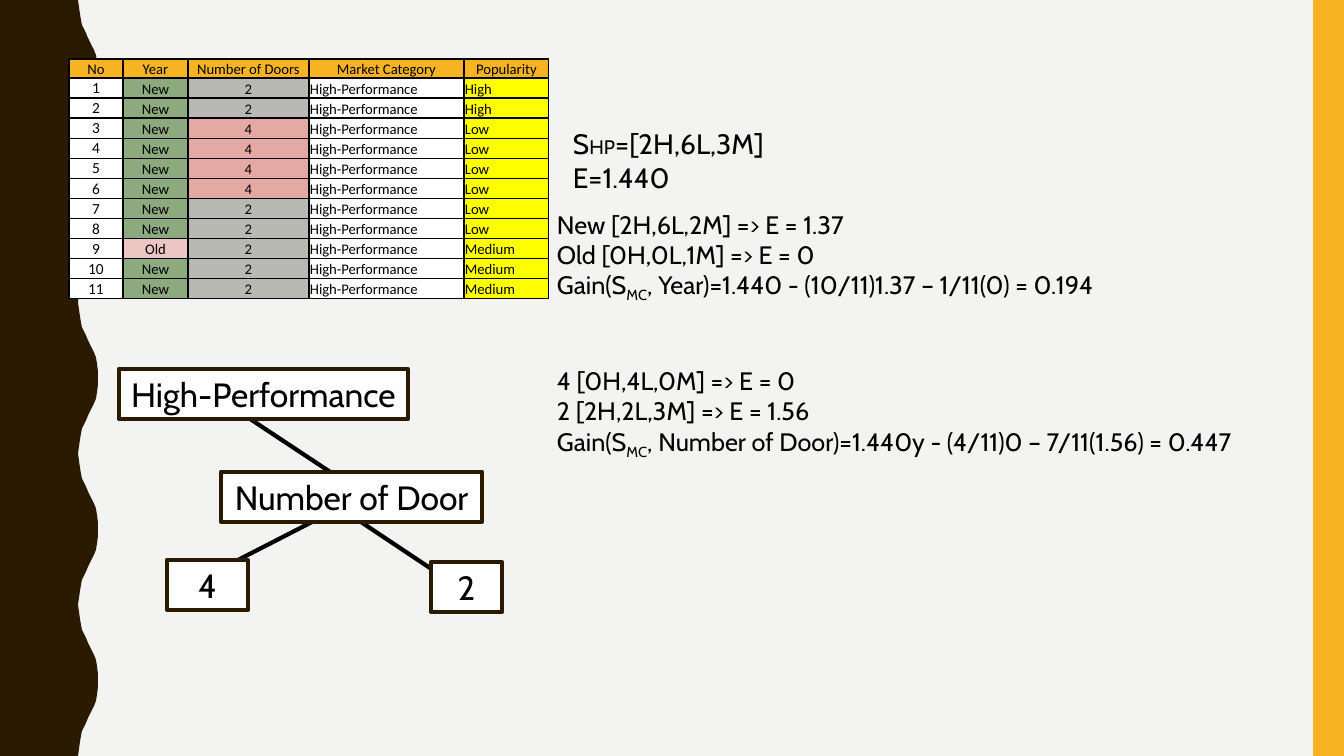
"""Build the decision-tree slide for the High-Performance market category."""
import lxml.etree
import pptx
import pptx.dml.color
import pptx.enum.shapes
import pptx.enum.text
import pptx.oxml.ns
import pptx.util

RGB = pptx.dml.color.RGBColor
ALIGN = pptx.enum.text.PP_ALIGN
ANCHOR = pptx.enum.text.MSO_ANCHOR
RECTANGLE = pptx.enum.shapes.MSO_SHAPE.RECTANGLE
Pt = pptx.util.Pt
qn = pptx.oxml.ns.qn

PAPER = RGB(0xF3, 0xF3, 0xF2)
BROWN = RGB(0x2A, 0x1A, 0x00)
ORANGE = RGB(0xF8, 0xB3, 0x23)
BLACK = RGB(0x00, 0x00, 0x00)
WHITE = RGB(0xFF, 0xFF, 0xFF)
GREEN = RGB(0x8C, 0xAA, 0x7E)
PINK = RGB(0xED, 0xC5, 0xC3)
GREY = RGB(0xB9, 0xB9, 0xB3)
RED = RGB(0xE5, 0xA9, 0xA4)
YELLOW = RGB(0xFF, 0xFF, 0x00)

HEADINGS = ["No", "Year", "Number of Doors", "Market Category", "Popularity"]
COLUMN_WIDTHS = [54, 65, 121, 155, 85]
HEADING_HEIGHT, CAR_HEIGHT = 19, 18
CATEGORY = "High-Performance"
CARS = [
    ("New", "2", "High"), ("New", "2", "High"), ("New", "4", "Low"),
    ("New", "4", "Low"), ("New", "4", "Low"), ("New", "4", "Low"),
    ("New", "2", "Low"), ("New", "2", "Low"), ("Old", "2", "Medium"),
    ("New", "2", "Medium"), ("New", "2", "Medium"),
]
YEAR_FILLS = {"New": GREEN, "Old": PINK}
DOOR_FILLS = {"2": GREY, "4": RED}

ENTROPY = [
    [("S", 20, 0), ("HP", 14, 0), ("=[2H,6L,3M]", 20, 0)],
    [("E=1.440", 20, 0)],
]
GAINS = [
    [("New [2H,6L,2M] => E = 1.37", 18, 0)],
    [("Old [0H,0L,1M] => E = 0", 18, 0)],
    [("Gain(S", 18, 0), ("MC", 18, -25000),
     (", Year)=1.440 - (10/11)1.37 – 1/11(0) = 0.194", 18, 0)],
    [("4 [0H,4L,0M] => E = 0", 18, 0)],
    [("2 [2H,2L,3M] => E = 1.56", 18, 0)],
    [("Gain(S", 18, 0), ("MC", 18, -25000),
     (", Number of Door)=1.440y - (4/11)0 – 7/11(1.56) = 0.447", 18, 0)],
]
DOOR_GAIN_START = 3

BRANCHES = [(334, 504, 469, 594), (347, 504, 203, 578), (232, 407, 368, 497)]
NODES = [
    (CATEGORY, 119, 369, 289, 50),
    ("Number of Door", 221, 472, 261, 50),
    ("2", 431, 562, 71, 50),
    ("4", 167, 560, 81, 50),
]

PAGE_W, PAGE_H = 1344, 756
WAVES = 5
HALF_WAVE = [
    (78, 0), (79, 7), (80, 14), (81, 20), (82, 25), (84, 29), (86, 33), (88, 38),
    (90, 42), (92, 46), (94, 50), (96, 55), (97, 61), (98, 69), (98, 76),
]


def px(length):
    return pptx.util.Emu(round(length * 914400 / 100.8))


def style(run, size, font="Cabin"):
    run.font.name = font
    run.font.size = Pt(size)
    run.font.bold = False
    run.font.color.rgb = BLACK


def paint(shape, fill, line=None):
    shape.shadow.inherit = False
    shape.fill.solid()
    shape.fill.fore_color.rgb = fill
    if line is None:
        shape.line.fill.background()
    else:
        shape.line.color.rgb = line
        shape.line.width = Pt(3)


def add_wave(shapes):
    period = PAGE_H / WAVES
    wave = HALF_WAVE + [(x, period - y) for x, y in reversed(HALF_WAVE[1:-1])]
    edge = [(px(x), px(n * period + y)) for n in range(WAVES) for x, y in wave]
    edge += [(px(HALF_WAVE[0][0]), px(PAGE_H)), (0, px(PAGE_H))]
    builder = shapes.build_freeform(0, 0, scale=1.0)
    builder.add_line_segments(edge, close=True)
    paint(builder.convert_to_shape(), BROWN)


def add_branch(shapes, x1, y1, x2, y2):
    branch = shapes.add_connector(
        pptx.enum.shapes.MSO_CONNECTOR.STRAIGHT, px(x1), px(y1), px(x2), px(y2))
    branch.line.color.rgb = BLACK
    branch.line.width = Pt(3)
    lxml.etree.SubElement(branch._element.spPr, qn("a:effectLst"))


def fill_cell(cell, text, fill, size=10.5, align=ALIGN.CENTER, anchor=ANCHOR.BOTTOM):
    cell.text_frame.text = text
    paragraph = cell.text_frame.paragraphs[0]
    paragraph.alignment = align
    style(paragraph.runs[0], size, "Calibri")
    cell.vertical_anchor = anchor
    cell.margin_left = cell.margin_right = cell.margin_top = px(1)
    cell.margin_bottom = 0
    properties = cell._tc.get_or_add_tcPr()
    for side in ("a:lnL", "a:lnR", "a:lnT", "a:lnB"):
        border = lxml.etree.SubElement(properties, qn(side), w=str(Pt(1)))
        solid = lxml.etree.SubElement(border, qn("a:solidFill"))
        lxml.etree.SubElement(solid, qn("a:srgbClr"), val=str(BLACK))
    cell.fill.solid()
    cell.fill.fore_color.rgb = fill


def add_cars(shapes):
    height = HEADING_HEIGHT + CAR_HEIGHT * len(CARS)
    cars = shapes.add_table(len(CARS) + 1, len(HEADINGS), px(69), px(59),
                            px(sum(COLUMN_WIDTHS)), px(height)).table
    cars.first_row = cars.horz_banding = False
    for column, width in zip(cars.columns, COLUMN_WIDTHS):
        column.width = px(width)
    for row in cars.rows:
        row.height = px(CAR_HEIGHT)
    cars.rows[0].height = px(HEADING_HEIGHT)
    for column, heading in enumerate(HEADINGS):
        fill_cell(cars.cell(0, column), heading, ORANGE)
    for number, (year, doors, popularity) in enumerate(CARS, 1):
        fill_cell(cars.cell(number, 0), str(number), WHITE, 11, anchor=ANCHOR.MIDDLE)
        fill_cell(cars.cell(number, 1), year, YEAR_FILLS[year])
        fill_cell(cars.cell(number, 2), doors, DOOR_FILLS[doors])
        fill_cell(cars.cell(number, 3), CATEGORY, WHITE, align=ALIGN.LEFT)
        fill_cell(cars.cell(number, 4), popularity, YELLOW, align=ALIGN.LEFT)


def add_formulas(shapes, lines, box, wrap):
    frame = shapes.add_textbox(*map(px, box)).text_frame
    frame.word_wrap = wrap
    frame.auto_size = pptx.enum.text.MSO_AUTO_SIZE.SHAPE_TO_FIT_TEXT
    for index, pieces in enumerate(lines):
        paragraph = frame.add_paragraph() if index else frame.paragraphs[0]
        for text, size, baseline in pieces:
            run = paragraph.add_run()
            run.text = text
            style(run, size)
            if baseline:
                run._r.get_or_add_rPr().set("baseline", str(baseline))
    return frame


def add_node(shapes, text, *box):
    node = shapes.add_shape(RECTANGLE, *map(px, box))
    paint(node, WHITE, BROWN)
    frame = node.text_frame
    frame.text = text
    frame.word_wrap = False
    frame.vertical_anchor = ANCHOR.TOP
    frame.paragraphs[0].alignment = ALIGN.CENTER
    style(frame.paragraphs[0].runs[0], 24)


def main():
    deck = pptx.Presentation()
    deck.slide_width, deck.slide_height = px(PAGE_W), px(PAGE_H)
    slide = deck.slides.add_slide(deck.slide_layouts[6])
    slide.background.fill.solid()
    slide.background.fill.fore_color.rgb = PAPER
    shapes = slide.shapes
    add_wave(shapes)
    paint(shapes.add_shape(RECTANGLE, px(1313), 0, px(31), px(PAGE_H)), ORANGE)
    for branch in BRANCHES:
        add_branch(shapes, *branch)
    add_cars(shapes)
    gains = add_formulas(shapes, GAINS, (547, 204, 992, 254), True)
    gains.paragraphs[DOOR_GAIN_START].space_before = Pt(44)
    add_formulas(shapes, ENTROPY, (563, 122, 221, 78), False)
    for node in NODES:
        add_node(shapes, *node)
    deck.save("out.pptx")


if __name__ == "__main__":
    main()
